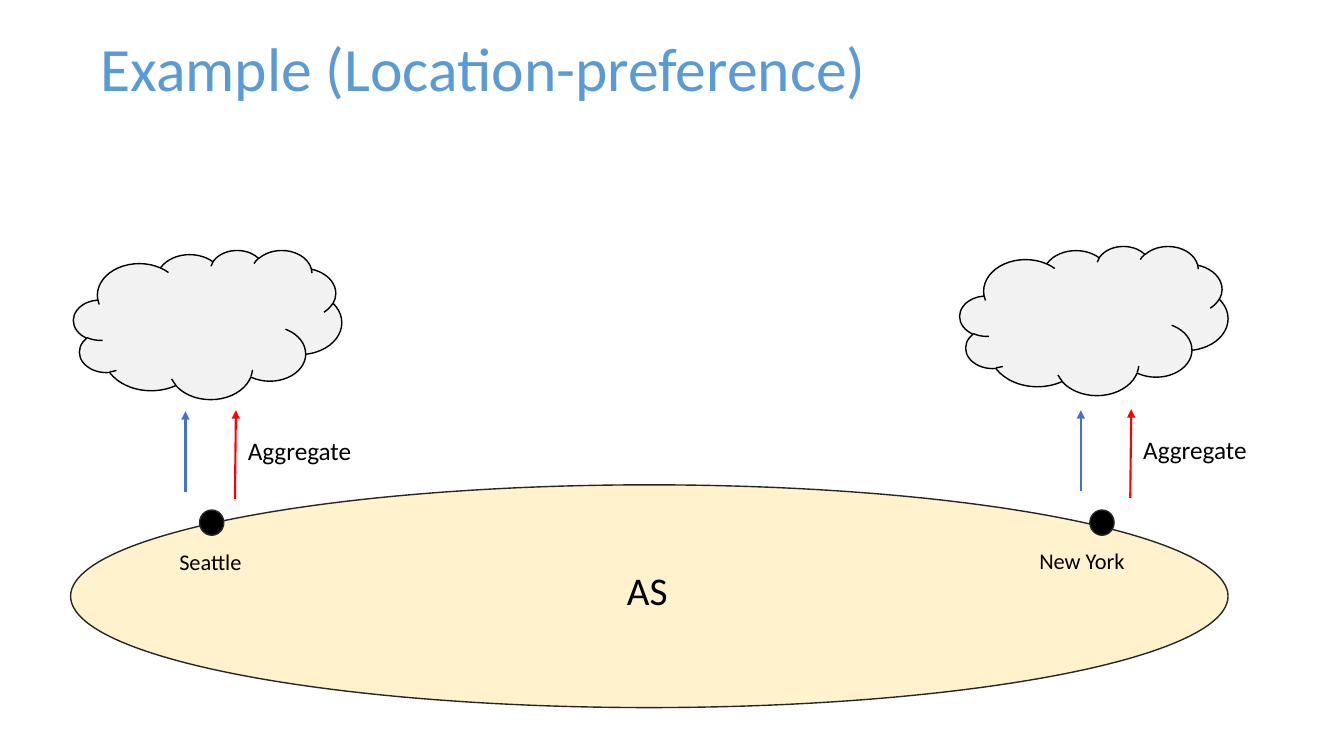
"""Build the location-preference routing slide."""
import pptx
import pptx.dml.color
import pptx.enum.shapes
import pptx.enum.text
import pptx.oxml.ns
import pptx.util
from lxml import etree

Inches = pptx.util.Inches
Pt = pptx.util.Pt
Shape = pptx.enum.shapes.MSO_SHAPE
Anchor = pptx.enum.text.MSO_ANCHOR
COLORS = {"title": "5B9BD5", "text": "000000", "as": "FFF2CC", "outline": "262626",
          "cloud": "F2F2F2", "black": "000000", "aggregate": "FF0000", "route": "4472C4"}

deck = pptx.Presentation()
deck.slide_width = Inches(13.33)
deck.slide_height = Inches(7.5)
page = deck.slides.add_slide(deck.slide_layouts[6])


def add_label(text, left, top, width, height, size, spacing=1.0, color="text",
              wrap=True, anchor=Anchor.TOP):
    box = page.shapes.add_textbox(Inches(left), Inches(top), Inches(width), Inches(height))
    frame = box.text_frame
    frame.word_wrap = wrap
    frame.vertical_anchor = anchor
    para = frame.paragraphs[0]
    para.line_spacing = spacing
    span = para.add_run()
    span.text = text
    span.font.name = "Calibri"
    span.font.size = Pt(size)
    span.font.color.rgb = pptx.dml.color.RGBColor.from_string(COLORS[color])


def add_figure(kind, left, top, width, height, fill, line):
    figure = page.shapes.add_shape(kind, Inches(left), Inches(top), Inches(width), Inches(height))
    figure.shadow.inherit = False
    figure.fill.solid()
    figure.fill.fore_color.rgb = pptx.dml.color.RGBColor.from_string(COLORS[fill])
    figure.line.color.rgb = pptx.dml.color.RGBColor.from_string(COLORS[line])
    figure.line.width = Pt(1)


add_label("Example (Location-preference)", 0.9, -0.02, 11.5, 1.45, 44, 0.9, "title",
          anchor=Anchor.MIDDLE)
add_figure(Shape.OVAL, 0.7, 4.81, 11.48, 2.21, "as", "outline")
add_label("AS", 6.12, 5.66, 0.63, 0.51, 28, 0.8)

cities = [
    ("Seattle", 1.68, 5.44, 0.83, 1.98, 1.84, 4.08, 0.73, 2.48),
    ("New York", 10.21, 5.43, 1.16, 10.81, 10.72, 4.07, 9.52, 2.44),
]
for (city, city_left, city_top, city_width, router_left,
     route_x, route_top, cloud_left, cloud_top) in cities:
    add_figure(Shape.CLOUD, cloud_left, cloud_top, 2.66, 1.48, "cloud", "black")
    add_figure(Shape.OVAL, router_left, 5.06, 0.24, 0.25, "black", "outline")
    add_label(city, city_left, city_top, city_width, 0.33, 16, 0.8)
    add_label("Aggregate", route_x + 0.52, route_top + 0.19, 1.24, 0.4, 18, wrap=False)
    arrows = [
        ("route", route_x, route_top + 0.8, route_x, route_top),
        ("aggregate", route_x + 0.49, route_top + 0.87, route_x + 0.5, route_top - 0.01),
    ]
    for color, start_x, start_y, end_x, end_y in arrows:
        arrow = page.shapes.add_connector(
            pptx.enum.shapes.MSO_CONNECTOR.STRAIGHT,
            Inches(start_x), Inches(start_y), Inches(end_x), Inches(end_y))
        arrow.line.color.rgb = pptx.dml.color.RGBColor.from_string(COLORS[color])
        arrow.line.width = Pt(1.5)
        properties = arrow.element.spPr
        etree.SubElement(properties.find(pptx.oxml.ns.qn("a:ln")),
                         pptx.oxml.ns.qn("a:tailEnd"), type="triangle")
        etree.SubElement(properties, pptx.oxml.ns.qn("a:effectLst"))

deck.save("out.pptx")
